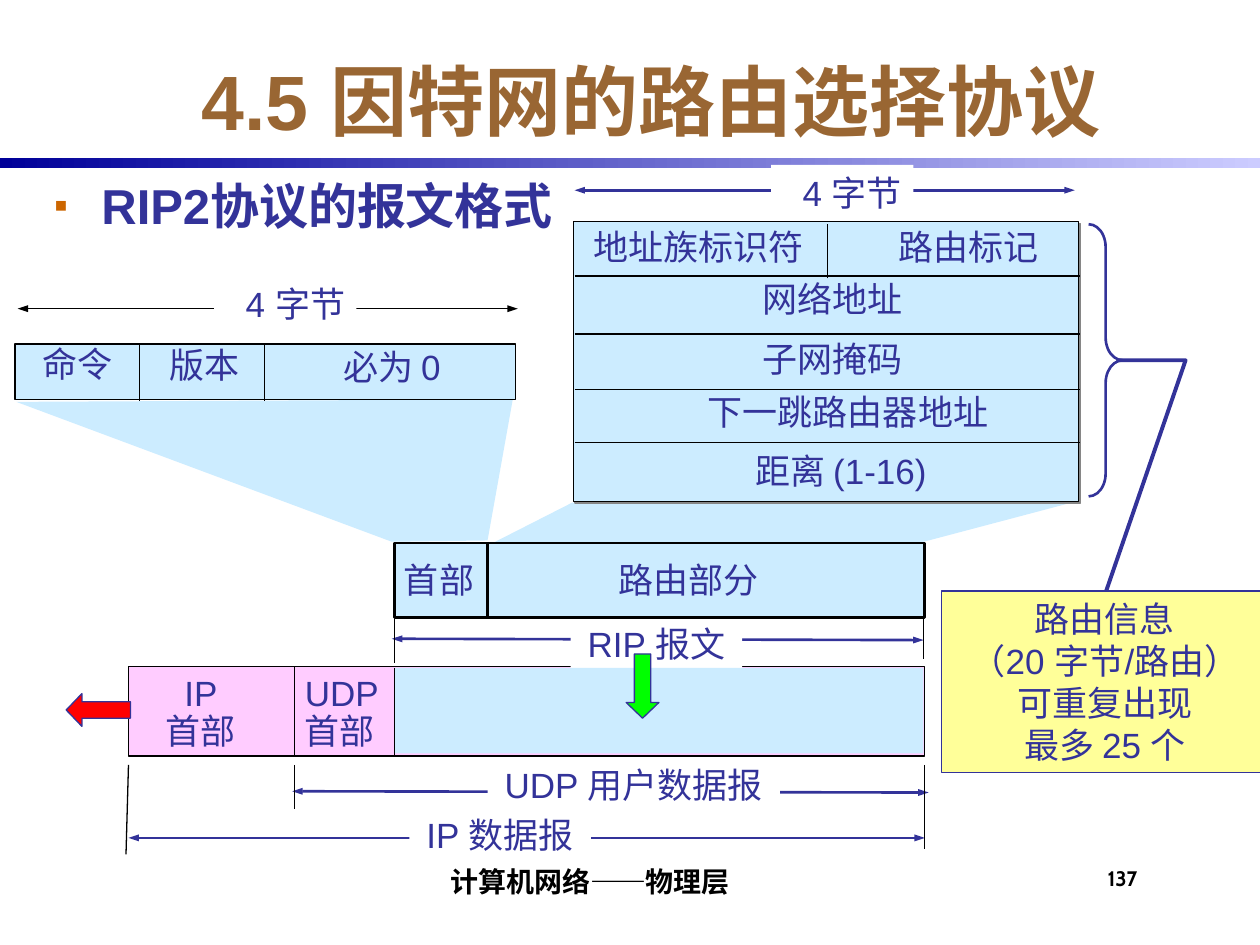
from pptx import Presentation
from pptx import util as u
from pptx.dml.color import RGBColor
from pptx.enum import shapes, text
from pptx.oxml import parse_xml
from pptx.oxml.ns import nsdecls, qn

COLS, ROWS = 100, 75
CELL = u.Inches(0.1)
BLACK = RGBColor(0x00, 0x00, 0x00)
WHITE = RGBColor(0xFF, 0xFF, 0xFF)
INDIGO = RGBColor(0x33, 0x33, 0x99)
NAVY = RGBColor(0x00, 0x00, 0x99)
LAVENDER = RGBColor(0xCC, 0xCC, 0xFF)
BROWN = RGBColor(0x99, 0x66, 0x33)
SKY = RGBColor(0xCC, 0xEC, 0xFF)
PINK = RGBColor(0xFF, 0xCC, 0xFF)
YELLOW = RGBColor(0xFF, 0xFF, 0x99)
GREEN = RGBColor(0x00, 0xFF, 0x00)
RED = RGBColor(0xFF, 0x00, 0x00)
LEFT, CENTER, RIGHT = text.PP_ALIGN.LEFT, text.PP_ALIGN.CENTER, text.PP_ALIGN.RIGHT
TOP, MIDDLE, BOTTOM = text.MSO_ANCHOR.TOP, text.MSO_ANCHOR.MIDDLE, text.MSO_ANCHOR.BOTTOM
KIND = shapes.MSO_SHAPE


def grid(*cells):
    """Turn grid columns or rows into slide lengths."""
    return [int(round(c * CELL)) for c in cells]


def paint(sp, fill=None, line=None, width=0.75):
    """Set the fill and the outline, either of which may be absent."""
    if fill is None:
        sp.fill.background()
    else:
        sp.fill.solid()
        sp.fill.fore_color.rgb = fill
    if line is None:
        sp.line.fill.background()
    else:
        sp.line.color.rgb = line
        sp.line.width = u.Pt(width)


def block(s, box, fill=None, line=None, width=0.75, kind=KIND.RECTANGLE):
    """Add a preset shape without a shadow."""
    sp = s.shapes.add_shape(kind, *grid(*box))
    sp.shadow.inherit = False
    paint(sp, fill, line, width)
    return sp


def polygon(s, points, fill=None, line=None, width=0.75):
    """Add an outline through the points, closed when it is filled."""
    pts = [grid(*p) for p in points]
    fb = s.shapes.build_freeform(*pts[0], scale=1.0)
    fb.add_line_segments(pts[1:], close=fill is not None)
    sp = fb.convert_to_shape()
    sp.shadow.inherit = False
    paint(sp, fill, line, width)


def rule(s, x1, y1, x2, y2, color=BLACK, width=0.75, arrows=False):
    """Add a straight line, with a slim arrowhead at both ends if asked."""
    c = s.shapes.add_connector(shapes.MSO_CONNECTOR.STRAIGHT, *grid(x1, y1, x2, y2))
    c.line.color.rgb = color
    c.line.width = u.Pt(width)
    if arrows:
        for tag in ("headEnd", "tailEnd"):
            c.line._get_or_add_ln().append(
                parse_xml(f'<a:{tag} {nsdecls("a")} type="triangle" w="sm"/>'))
    c._element.spPr.append(parse_xml(f'<a:effectLst {nsdecls("a")}/>'))


def write(s, box, words, size=20, color=INDIGO, font="Arial", bold=False, align=CENTER,
          anchor=TOP, wrap=False, spacing=None, margins=(0.9, 0.5, 0.9, 0.5)):
    """Add a text box whose paragraphs share one format."""
    sp = s.shapes.add_textbox(*grid(*box))
    tf = sp.text_frame
    tf.word_wrap = wrap
    if not wrap:
        tf.auto_size = text.MSO_AUTO_SIZE.SHAPE_TO_FIT_TEXT
    tf.vertical_anchor = anchor
    tf.margin_left, tf.margin_top, tf.margin_right, tf.margin_bottom = grid(*margins)
    tf.text = words
    for p in tf.paragraphs:
        p.alignment = align
        p.line_spacing = spacing
        for r in p.runs:
            r.font.size = u.Pt(size)
            r.font.name = font
            r.font.bold = bold
            r.font.color.rgb = color
    return sp


def label(s, x, y, w, words, fill=WHITE, align=CENTER):
    """Add a one-line caption on a plain ground."""
    paint(write(s, (x, y, w, 4.4), words, align=align), fill)


def arrow(s, x, y, fill, turn=0):
    """Add a block arrow, pointing down before it is turned."""
    sp = block(s, (x, y, 2.6, 5.1), fill, INDIGO, kind=KIND.DOWN_ARROW)
    sp.adjustments[0], sp.adjustments[1] = 0.5, 0.48
    sp.rotation = turn


def frame(s):
    """Add the band, page number, title, heading and footer."""
    band = block(s, (0, 12.5, COLS, 0.8), WHITE)
    band.fill.gradient()
    band.fill.gradient_angle = 0
    for stop, color in zip(band.fill.gradient_stops, (NAVY, LAVENDER)):
        stop.color.rgb = color
    write(s, (87.5, 68.3, 5.8, 4.2), "137", 12, BLACK, "Cabin", True, LEFT,
          wrap=True, margins=(0.4, 0.4, 0, 0))
    write(s, (9.2, 3.3, 85, 9.2), "4.5 因特网的路由选择协议", 44, BROWN, bold=True,
          anchor=MIDDLE, wrap=True)
    sp = write(s, (3.4, 13.4, 85, 50), "RIP2协议的报文格式", 28, bold=True, align=LEFT, wrap=True)
    pPr = sp.text_frame.paragraphs[0]._p.get_or_add_pPr()
    indent = grid(3.75)[0]
    pPr.set("marL", str(indent))
    pPr.set("indent", str(-indent))
    for xml in ('<a:buClr {}><a:srgbClr val="CC6600"/></a:buClr>', '<a:buSzPct {} val="80000"/>',
                '<a:buFont {} typeface="Arial"/>', '<a:buChar {} char="▪"/>'):
        pPr.append(parse_xml(xml.format(nsdecls("a"))))
    write(s, (20.8, 67.5, 51.7, 4.2), "计算机网络——物理层", 16, BLACK, "Cabin", True,
          anchor=BOTTOM, wrap=True, margins=(0.4, 0, 0, 0.4))


def route_entry(s):
    """Draw the five-row route entry and its brace."""
    rule(s, 45.6, 15.1, 85.3, 15.1, INDIGO, 1.5, True)
    label(s, 61.2, 13.1, 11.3, "4 字节", align=RIGHT)
    polygon(s, [(45.4, 39.9), (85.4, 39.8), (73.3, 43), (39.3, 43)], SKY)
    sp = block(s, (45.5, 17.6, 40.1, 22.2), SKY, BLACK)
    sp._element.spPr.find(qn("a:effectLst")).append(parse_xml(
        f'<a:outerShdw {nsdecls("a")} dist="17780" dir="2700000">'
        '<a:srgbClr val="868686"/></a:outerShdw>'))
    for y in (21.9, 26.5, 30.9, 35.1):
        rule(s, 45.6, y, 85.7, y)
    rule(s, 65.7, 22.1, 65.7, 17.8)
    for x, y, w, words in ((70.3, 17.4, 13.1, "路由标记"), (59.5, 21.5, 13.1, "网络地址"),
                           (46.1, 17.4, 18.7, "地址族标识符"), (58.6, 35.2, 16.3, "距离 (1-16)"),
                           (59.5, 26.3, 13.1, "子网掩码"), (55.2, 30.5, 24.2, "下一跳路由器地址")):
        label(s, x, y, w, words, None)
    brace = block(s, (86.4, 17.8, 2.7, 21.6), None, INDIGO, 1.5, KIND.RIGHT_BRACE)
    brace.adjustments[0], brace.adjustments[1] = 0.67, 0.5


def route_note(s):
    """Draw the yellow note and its leader."""
    sp = write(s, (74.7, 46.9, 26, 14.4), "路由信息\n（20 字节/路由）\n可重复出现\n最多 25 个")
    paint(sp, YELLOW, INDIGO)
    polygon(s, [(88.6, 28.6), (94.1, 28.6), (87.8, 46.9)], None, INDIGO, 2.25)


def rip_header(s):
    """Draw the four-byte header with its three fields."""
    polygon(s, [(1.3, 31.9), (40.7, 31.7), (38.7, 42.9), (31.1, 43)], SKY)
    block(s, (1.2, 27.3, 39.7, 4.4), SKY, BLACK)
    for x in (11.1, 21):
        rule(s, x, 31.8, x, 27.3)
    for x, y, w, words in ((2.3, 26.7, 7.7, "命令"), (12.4, 26.8, 7.7, "版本"),
                           (25.9, 26.9, 10.4, "必为 0")):
        label(s, x, y, w, words, None)
    rule(s, 1.4, 24.5, 41.1, 24.5, arrows=True)
    label(s, 17, 21.9, 11.3, "4 字节", align=RIGHT)


def rip_message(s):
    """Draw the header and route parts of the message."""
    block(s, (31.3, 43.1, 42.1, 5.9), SKY, BLACK, 1.5)
    rule(s, 38.7, 43, 38.7, 48.9, width=1.5)
    label(s, 31, 43.8, 7.7, "首部", None)
    label(s, 48.1, 43.8, 13.1, "路由部分", None)


def datagrams(s):
    """Draw the nested datagram with its dimension lines."""
    block(s, (10.2, 52.9, 63.2, 7.1), PINK, BLACK)
    rule(s, 31.1, 50.7, 73.3, 50.8, INDIGO, 1.5, True)
    label(s, 45.3, 48.9, 13.6, "RIP 报文")
    block(s, (31.3, 53, 42, 6.8), SKY)
    rule(s, 23.2, 62.8, 73.7, 62.9, INDIGO, 1.5, True)
    label(s, 38.7, 60.1, 23.2, "UDP 用户数据报")
    rule(s, 10.2, 66.5, 73.4, 66.5, INDIGO, 1.5, True)
    label(s, 32.5, 64.1, 14.4, "IP 数据报")
    for x1, y1, x2, y2 in ((10.2, 60.7, 10, 67.8), (23.4, 52.9, 23.4, 60), (73.4, 60.7, 73.4, 67.4),
                           (31.3, 53, 31.3, 60.1), (31.3, 49.1, 31.3, 52.6),
                           (73.3, 48.8, 73.3, 52.3), (23.4, 60.7, 23.4, 64.2)):
        rule(s, x1, y1, x2, y2)
    write(s, (12.1, 53.2, 7.7, 7), "IP\n首部", spacing=0.9)
    write(s, (23.3, 53.2, 8.6, 7), "UDP\n首部", align=LEFT, spacing=0.9)
    arrow(s, 49.7, 51.9, GREEN)
    arrow(s, 6.5, 53.8, RED, 90)


def main():
    """Build the slide and save it."""
    prs = Presentation()
    prs.slide_width, prs.slide_height = grid(COLS, ROWS)
    s = prs.slides.add_slide(prs.slide_layouts[6])
    for draw in (frame, route_entry, route_note, rip_header, datagrams, rip_message):
        draw(s)
    prs.save("out.pptx")


if __name__ == "__main__":
    main()
